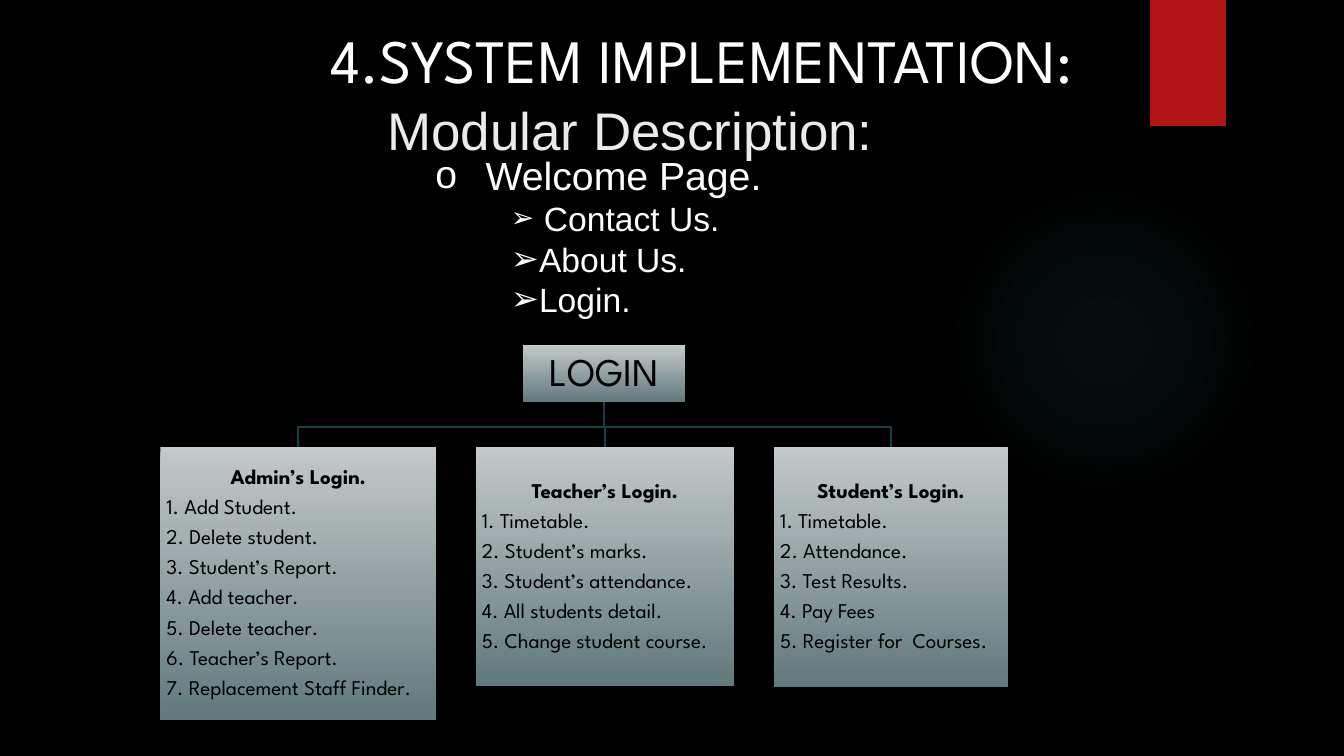
import dataclasses
import typing

import lxml.etree
import pptx
import pptx.dml.color
import pptx.enum.shapes
import pptx.enum.text
import pptx.oxml.ns
import pptx.util

WIDTH, HEIGHT = pptx.util.Inches(13.33), pptx.util.Inches(7.5)
DISPLAY, BODY = "League Spartan", "Arial"
WHITE, BLACK = "FFFFFF", "000000"
CENTER = pptx.enum.text.PP_ALIGN.CENTER
LEFT = pptx.enum.text.PP_ALIGN.LEFT
SHAPES = pptx.enum.shapes.MSO_SHAPE
ELBOW_ROW = 56.53
CARD_ROW = 59.07


@dataclasses.dataclass
class Area:
    """Place of an element, in percent of the slide's width and height."""
    left: float
    top: float
    width: float
    height: float

    def lengths(self) -> tuple[int, int, int, int]:
        return across(self.left), down(self.top), across(self.width), down(self.height)

    @property
    def middle(self) -> float:
        return self.left + self.width / 2


@dataclasses.dataclass
class Line:
    text: str
    size: float
    font: str = BODY
    color: str = WHITE
    bold: bool = False
    align: typing.Any = LEFT
    margin: float = 0
    indent: float = 0
    bullet: str = ""
    lead_size: float = 0
    format: dict = dataclasses.field(default_factory=dict)


@dataclasses.dataclass
class Card:
    area: Area
    heading: str
    tasks: list[str]


LOGIN = Area(38.93, 45.6, 12.08, 7.6)
CARDS = [
    Card(Area(11.93, CARD_ROW, 20.55, 36.13), "Admin’s Login.",
         ["Add Student.", "Delete student.", "Student’s Report.", "Add teacher.",
          "Delete teacher.", "Teacher’s Report.", "Replacement Staff Finder."]),
    Card(Area(35.4, CARD_ROW, 19.2, 31.73), "Teacher’s Login.",
         ["Timetable.", "Student’s marks.", "Student’s attendance.",
          "All students detail.", "Change student course."]),
    Card(Area(57.6, CARD_ROW, 17.4, 31.87), "Student’s Login.",
         ["Timetable.", "Attendance.", "Test Results.", "Pay Fees",
          "Register for  Courses."]),
]


def across(percent: float) -> int:
    return round(WIDTH * percent / 100)


def down(percent: float) -> int:
    return round(HEIGHT * percent / 100)


def rgb(color: str) -> pptx.dml.color.RGBColor:
    return pptx.dml.color.RGBColor.from_string(color)


def assign(target: typing.Any, values: dict) -> None:
    for name, value in values.items():
        setattr(target, name, value)


def add_child(parent: typing.Any, tag: str, **attributes: str) -> typing.Any:
    child = lxml.etree.SubElement(parent, pptx.oxml.ns.qn(tag))
    for name, value in attributes.items():
        child.set(name, value)
    return child


def write(frame: typing.Any, lines: list[Line], inset: float | None = None) -> None:
    frame.word_wrap = True
    if inset is not None:
        sides = ("left", "top", "right", "bottom")
        assign(frame, {f"margin_{side}": pptx.util.Inches(inset) for side in sides})
        frame.vertical_anchor = pptx.enum.text.MSO_ANCHOR.MIDDLE
    for number, line in enumerate(lines):
        paragraph = frame.add_paragraph() if number else frame.paragraphs[0]
        assign(paragraph, {"alignment": line.align, **line.format})
        properties = paragraph._p.get_or_add_pPr()
        properties.set("marL", str(pptx.util.Inches(line.margin)))
        properties.set("indent", str(pptx.util.Inches(line.indent)))
        if line.bullet:
            add_child(properties, "a:buFont", typeface=BODY)
            add_child(properties, "a:buChar", char=line.bullet)
        pieces = [(" ", line.lead_size)] if line.lead_size else []
        for text, size in pieces + [(line.text, line.size)]:
            run = paragraph.add_run()
            run.text = text
            assign(run.font, {"name": line.font, "size": pptx.util.Pt(size), "bold": line.bold})
            run.font.color.rgb = rgb(line.color)


def add_text(slide: typing.Any, area: Area, lines: list[Line]) -> None:
    write(slide.shapes.add_textbox(*area.lengths()).text_frame, lines)


def add_plain(slide: typing.Any, kind: typing.Any, area: Area) -> typing.Any:
    shape = slide.shapes.add_shape(kind, *area.lengths())
    shape.shadow.inherit = False
    shape.line.fill.background()
    return shape


def add_glow(slide: typing.Any, area: Area) -> None:
    shape = add_plain(slide, SHAPES.OVAL, area)
    shape.fill.gradient()
    gradient = shape._element.spPr.find(pptx.oxml.ns.qn("a:gradFill"))
    for child in list(gradient):
        gradient.remove(child)
    stops = add_child(gradient, "a:gsLst")
    for position, opacity in ((0, 7), (36, 6), (69, 0)):
        stop = add_child(stops, "a:gs", pos=str(position * 1000))
        color = add_child(stop, "a:srgbClr", val="50B9C1")
        add_child(color, "a:alpha", val=str(opacity * 1000))
    focus = add_child(gradient, "a:path", path="circle")
    add_child(focus, "a:fillToRect", l="50000", t="50000", r="50000", b="50000")


def add_panel(slide: typing.Any, area: Area, lines: list[Line], inset: float) -> None:
    shape = add_plain(slide, SHAPES.RECTANGLE, area)
    shape.fill.gradient()
    shape.fill.gradient_angle = 270
    for stop, position, color in zip(shape.fill.gradient_stops, (0, 1), ("C4C9CA", "61797C")):
        stop.position = position
        stop.color.rgb = rgb(color)
    write(shape.text_frame, lines, inset)


def add_branch(slide: typing.Any, card: Card) -> None:
    start = across(LOGIN.middle)
    end = across(card.area.middle)
    elbow = down(ELBOW_ROW)
    builder = slide.shapes.build_freeform(start, down(LOGIN.top + LOGIN.height))
    builder.add_line_segments([(start, elbow), (end, elbow), (end, down(CARD_ROW))], close=False)
    branch = builder.convert_to_shape()
    branch.shadow.inherit = False
    branch.fill.background()
    branch.line.color.rgb = rgb("184144")
    branch.line.width = pptx.util.Pt(1.5)


def panel_line(text: str, size: float, **values: typing.Any) -> Line:
    spacing = {"line_spacing": 0.9, "space_after": pptx.util.Pt(size * 0.35)}
    return Line(text, size, DISPLAY, BLACK, format=spacing, **values)


def card_lines(card: Card) -> list[Line]:
    heading = panel_line(card.heading, 15, bold=True, align=CENTER)
    tasks = [panel_line(f"{number}. {task}", 15, margin=0.05)
             for number, task in enumerate(card.tasks, 1)]
    return [heading] + tasks


def main() -> None:
    """Build the system implementation slide and save it."""
    presentation = pptx.Presentation()
    assign(presentation, {"slide_width": WIDTH, "slide_height": HEIGHT})
    slide = presentation.slides.add_slide(presentation.slide_layouts[6])
    slide.background.fill.solid()
    slide.background.fill.fore_color.rgb = rgb(BLACK)

    add_glow(slide, Area(70.58, 24.4, 23.1, 41.07))
    bookmark = add_plain(slide, SHAPES.RECTANGLE, Area(85.58, 0, 5.63, 16.67))
    bookmark.fill.solid()
    bookmark.fill.fore_color.rgb = rgb("B01513")

    add_text(slide, Area(-3.45, 12.27, 100.65, 7.07),
             [Line("Modular Description:", 37.8, color="EBEBEB", align=CENTER)])
    pages = {"size": 24, "margin": 1, "indent": -0.25, "bullet": "➢"}
    add_text(slide, Area(31.65, 19.33, 34.13, 28.27), [
        Line("Welcome Page.", 28, margin=0.5, indent=-0.5, bullet="o"),
        Line("Contact Us.", lead_size=20, **pages),
        Line("About Us.", **pages),
        Line("Login.", **pages),
    ])
    add_text(slide, Area(23.85, 2.27, 75.38, 11.2),
             [Line("4.SYSTEM IMPLEMENTATION:", 44, DISPLAY)])

    for card in CARDS:
        add_branch(slide, card)
    add_panel(slide, LOGIN, [panel_line("LOGIN", 28, align=CENTER)], 0.02)
    for card in CARDS:
        add_panel(slide, card.area, card_lines(card), 0.01)
    presentation.save("out.pptx")


if __name__ == "__main__":
    main()
